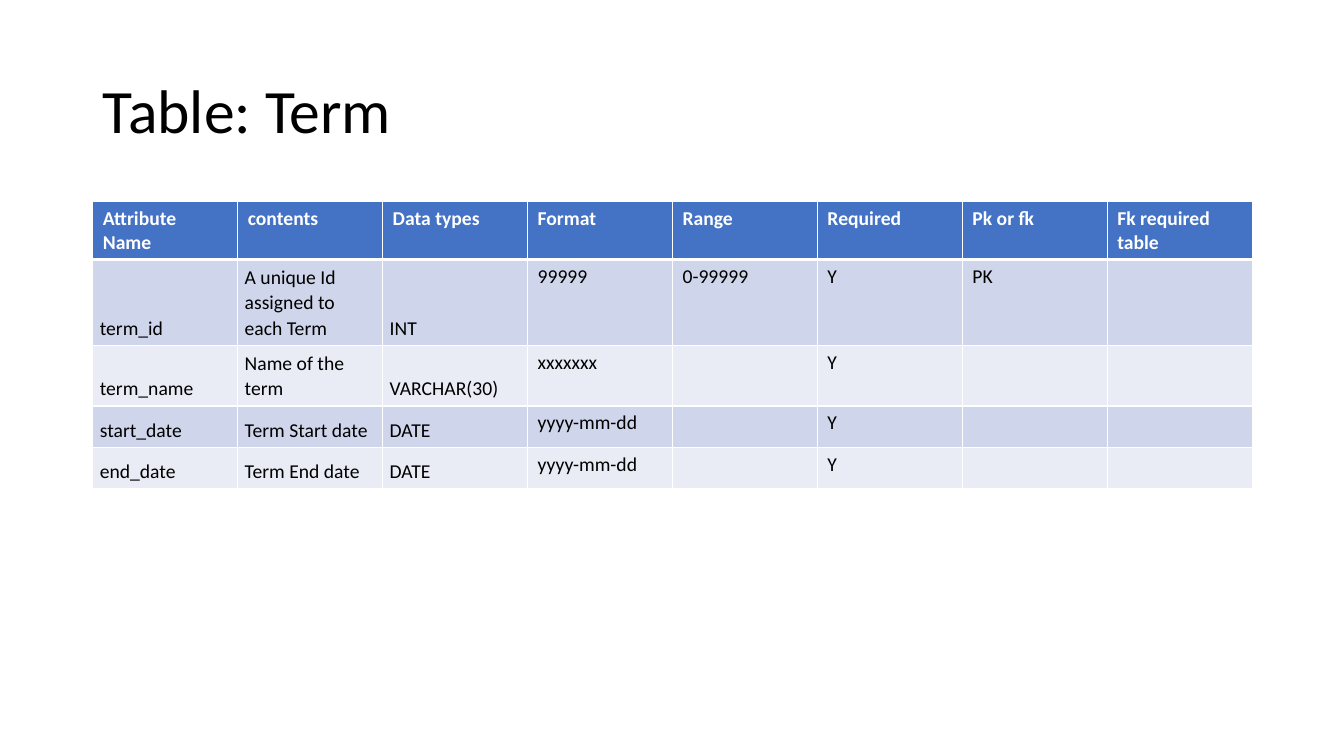
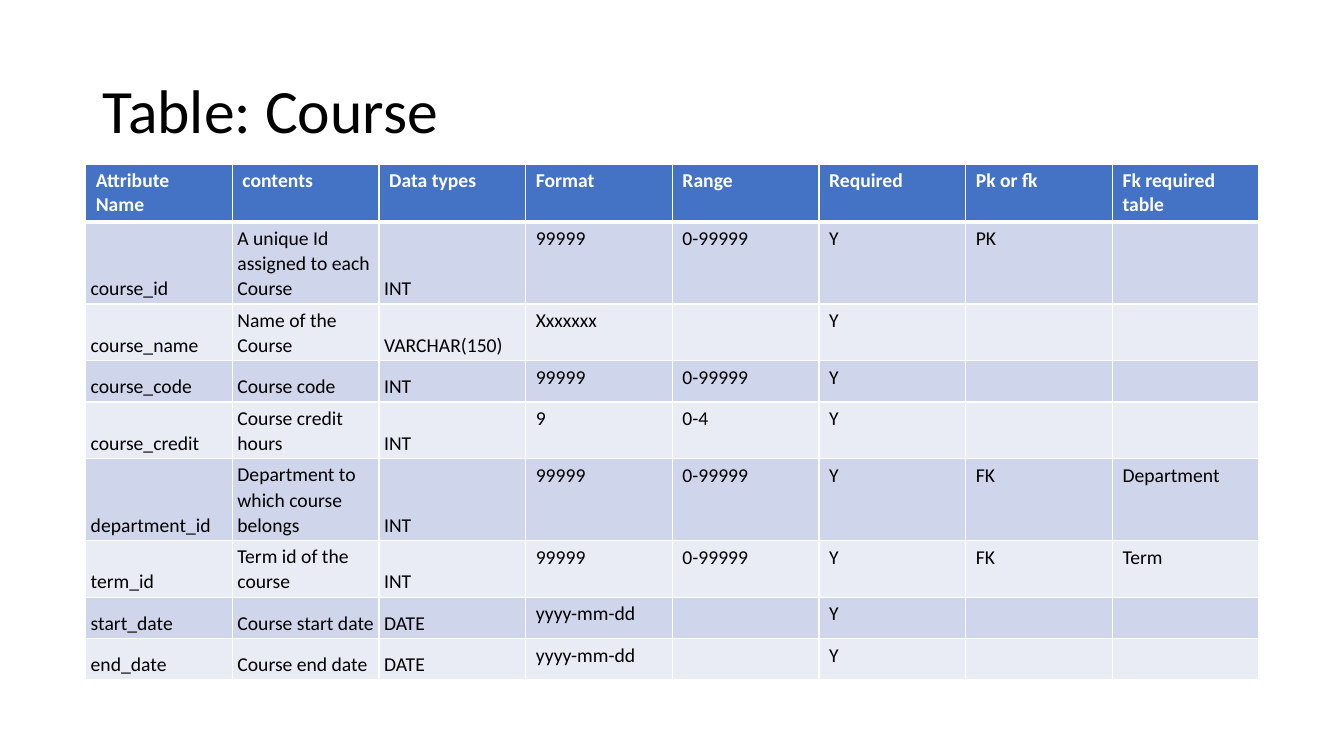
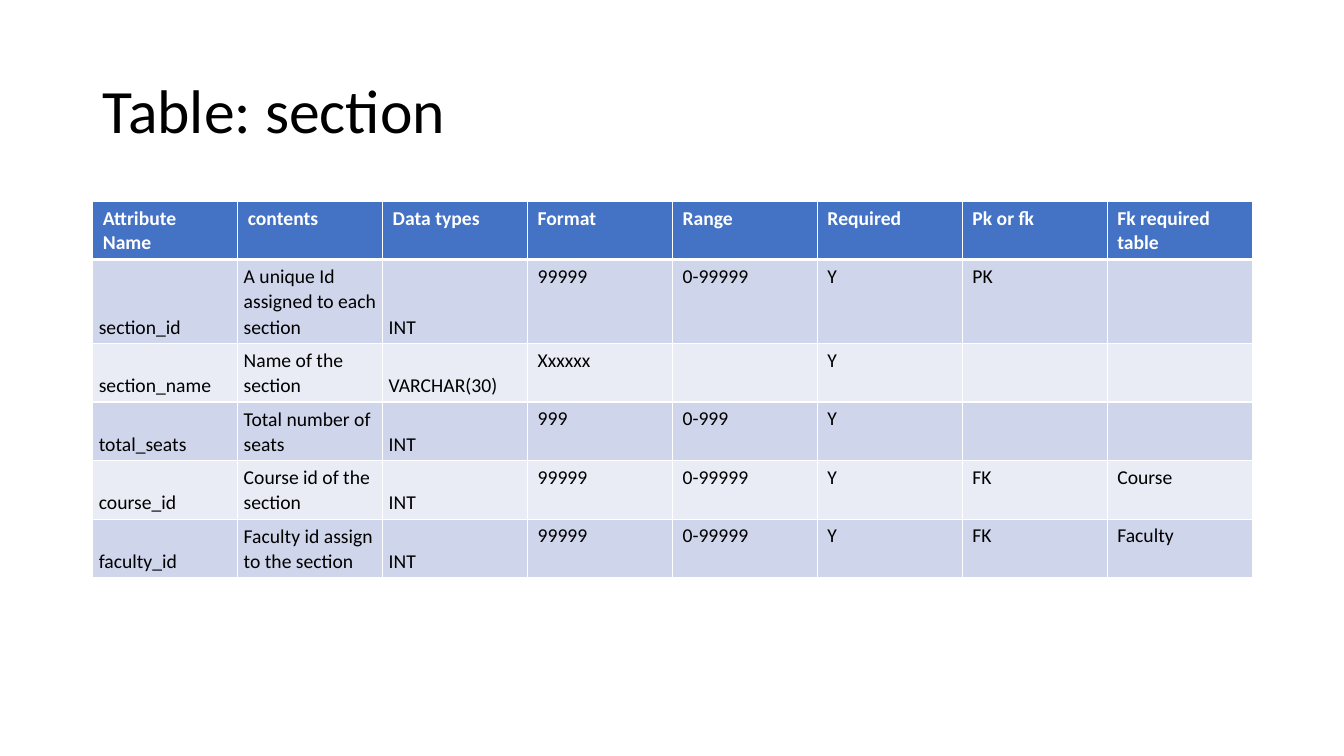
from lxml import etree
from pptx import Presentation
from pptx.dml.color import RGBColor
from pptx.enum.text import MSO_ANCHOR, PP_ALIGN
from pptx.oxml.ns import qn
from pptx.util import Emu, Pt

LEFT = PP_ALIGN.LEFT
TOP, MIDDLE, BOTTOM = MSO_ANCHOR.TOP, MSO_ANCHOR.MIDDLE, MSO_ANCHOR.BOTTOM
SCALE = 9144
TITLE_ONLY = 5
FONT = "Calibri"
BLACK, WHITE, BLUE = "000000", "FFFFFF", "4472C4"
BANDS = ("CFD5EA", "E9EBF5")
ROW = 41
HEAD = ("Attribute Name", "contents", "Data types", "Format",
        "Range", "Required", "Pk or fk", "Fk required table")


def px(n):
    """Turn whole px into EMU."""
    return Emu(n * SCALE)


def color(code):
    """Turn a hex string into a colour."""
    return RGBColor.from_string(code)


def write(frame, text, size=14, ink=BLACK, bold=False, line=None, after=None):
    """Put one formatted paragraph in a text frame."""
    para = frame.paragraphs[0]
    para.alignment = LEFT
    para.line_spacing = line
    if after is not None:
        para.space_after = Pt(after)
    if text:
        run = para.add_run()
        run.text = text
        font = run.font
        font.name, font.size, font.bold = FONT, Pt(size), bold
        font.color.rgb = color(ink)


def border(cell, **widths):
    """Draw white cell borders, with widths in points."""
    props = cell._tc.get_or_add_tcPr()
    for side in "LRTB":
        line = etree.SubElement(props, qn(f"a:ln{side}"), w=str(Pt(widths.get(side, 1))))
        fill = etree.SubElement(line, qn("a:solidFill"))
        etree.SubElement(fill, qn("a:srgbClr"), val=WHITE)


class Deck:
    """Holds the shared style and the current slide."""

    def __init__(self):
        """Start an empty wide deck."""
        self.prs = Presentation()
        self.prs.slide_width, self.prs.slide_height = px(1333), px(750)

    def page(self, title):
        """Add a slide with its title."""
        self.slide = self.prs.slides.add_slide(self.prs.slide_layouts[TITLE_ONLY])
        shape = self.slide.shapes.title
        shape.left, shape.top, shape.width, shape.height = map(px, (92, 40, 1150, 145))
        shape.text_frame.vertical_anchor = MIDDLE
        write(shape.text_frame, title, size=44, line=0.9)

    def table(self, rows, left, top, width, inset):
        """Add a banded table whose first three columns sit low."""
        count = len(rows) + 1
        grid = self.slide.shapes.add_table(
            count, len(HEAD), px(left), px(top), px(width), px(ROW * count)).table
        for r, row in enumerate((HEAD, *rows)):
            for c, text in enumerate(row):
                self.cell(grid.cell(r, c), text, r, c, inset)

    def cell(self, cell, text, r, c, inset):
        """Style and fill one table cell."""
        head, low = r == 0, r > 0 and c < 3
        border(cell, T=3 if r == 1 else 1, B=3 if head else 1)
        cell.fill.solid()
        cell.fill.fore_color.rgb = color(BLUE if head else BANDS[(r - 1) % 2])
        side, edge = inset if low else (10, 5)
        cell.margin_left = cell.margin_right = px(side)
        cell.margin_top = cell.margin_bottom = px(edge)
        cell.vertical_anchor = BOTTOM if low else TOP
        write(cell.text_frame, text, ink=WHITE if head else BLACK, bold=head,
              line=1.06 if low else None, after=8 if low else None)


TERM = (
    ("term_id", "A unique Id assigned to each Term", "INT", "99999", "0-99999", "Y", "PK", ""),
    ("term_name", "Name of the term", "VARCHAR(30)", "xxxxxxx", "", "Y", "", ""),
    ("start_date", "Term Start date", "DATE", "yyyy-mm-dd", "", "Y", "", ""),
    ("end_date", "Term End date", "DATE", "yyyy-mm-dd", "", "Y", "", ""),
)
COURSE = (
    ("course_id", "A unique Id assigned to each Course", "INT", "99999", "0-99999", "Y", "PK", ""),
    ("course_name", "Name of the Course", "VARCHAR(150)", "Xxxxxxx", "", "Y", "", ""),
    ("course_code", "Course code", "INT", "99999", "0-99999", "Y", "", ""),
    ("course_credit", "Course credit hours", "INT", "9", "0-4", "Y", "", ""),
    ("department_id", "Department to which course belongs", "INT", "99999", "0-99999", "Y",
     "FK", "Department"),
    ("term_id", "Term id of the course", "INT", "99999", "0-99999", "Y", "FK", "Term"),
    ("start_date", "Course start date", "DATE", "yyyy-mm-dd", "", "Y", "", ""),
    ("end_date", "Course end date", "DATE", "yyyy-mm-dd", "", "Y", "", ""),
)
SECTION = (
    ("section_id", "A unique Id assigned to each section", "INT", "99999", "0-99999", "Y",
     "PK", ""),
    ("section_name", "Name of the section", "VARCHAR(30)", "Xxxxxx", "", "Y", "", ""),
    ("total_seats", "Total number of seats", "INT", "999", "0-999", "Y", "", ""),
    ("course_id", "Course id of the section", "INT", "99999", "0-99999", "Y", "FK", "Course"),
    ("faculty_id", "Faculty id assign to the section", "INT", "99999", "0-99999", "Y",
     "FK", "Faculty"),
)
PAGES = (
    ("Table: Term", TERM, (92, 200, 1150), (7, 5)),
    ("Table: Course", COURSE, (85, 163, 1164), (5, 3)),
    ("Table: section", SECTION, (92, 200, 1150), (6, 4)),
)


def main():
    """Build and save the deck."""
    deck = Deck()
    for title, rows, place, inset in PAGES:
        deck.page(title)
        deck.table(rows, *place, inset)
    deck.prs.save("out.pptx")


if __name__ == "__main__":
    main()
